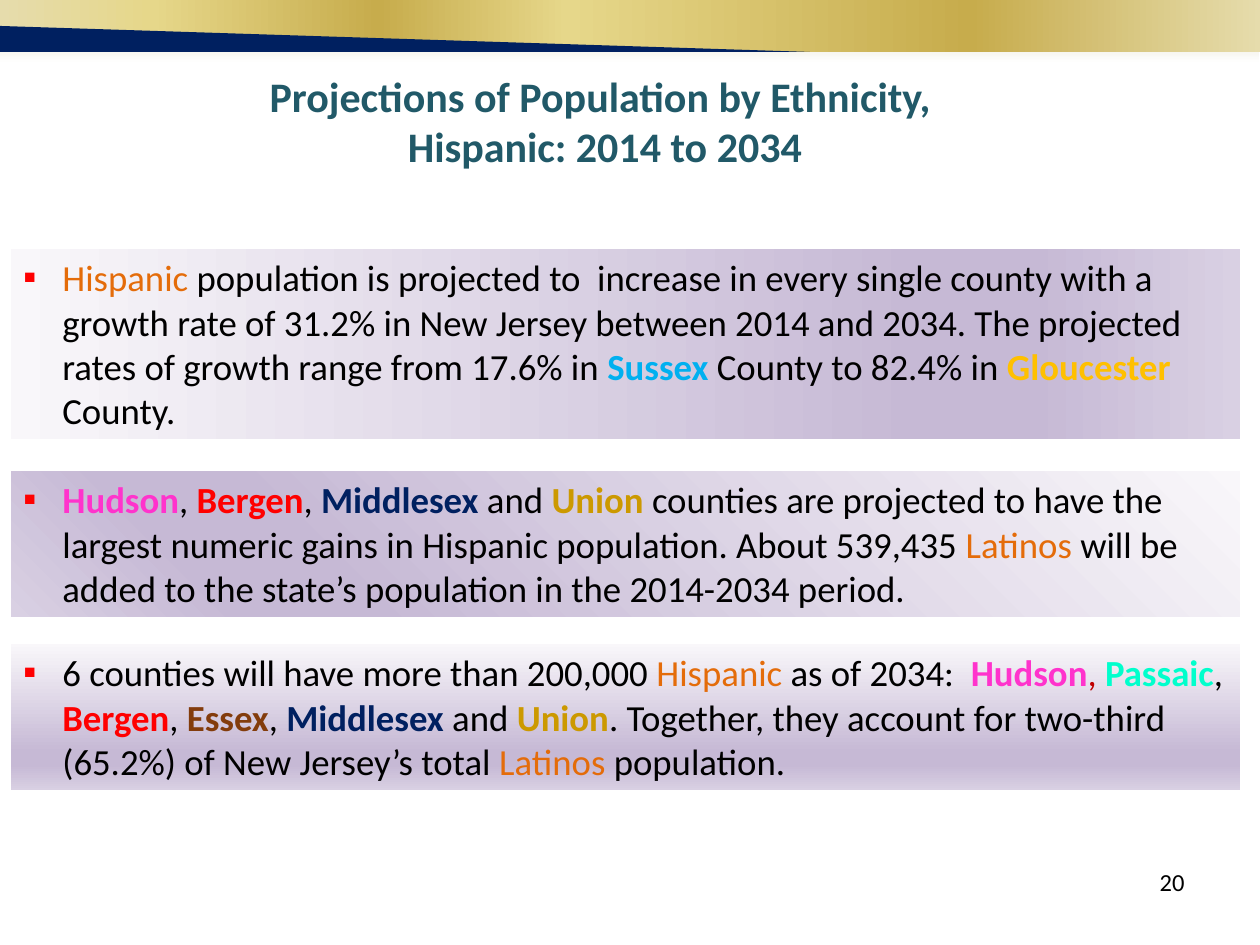
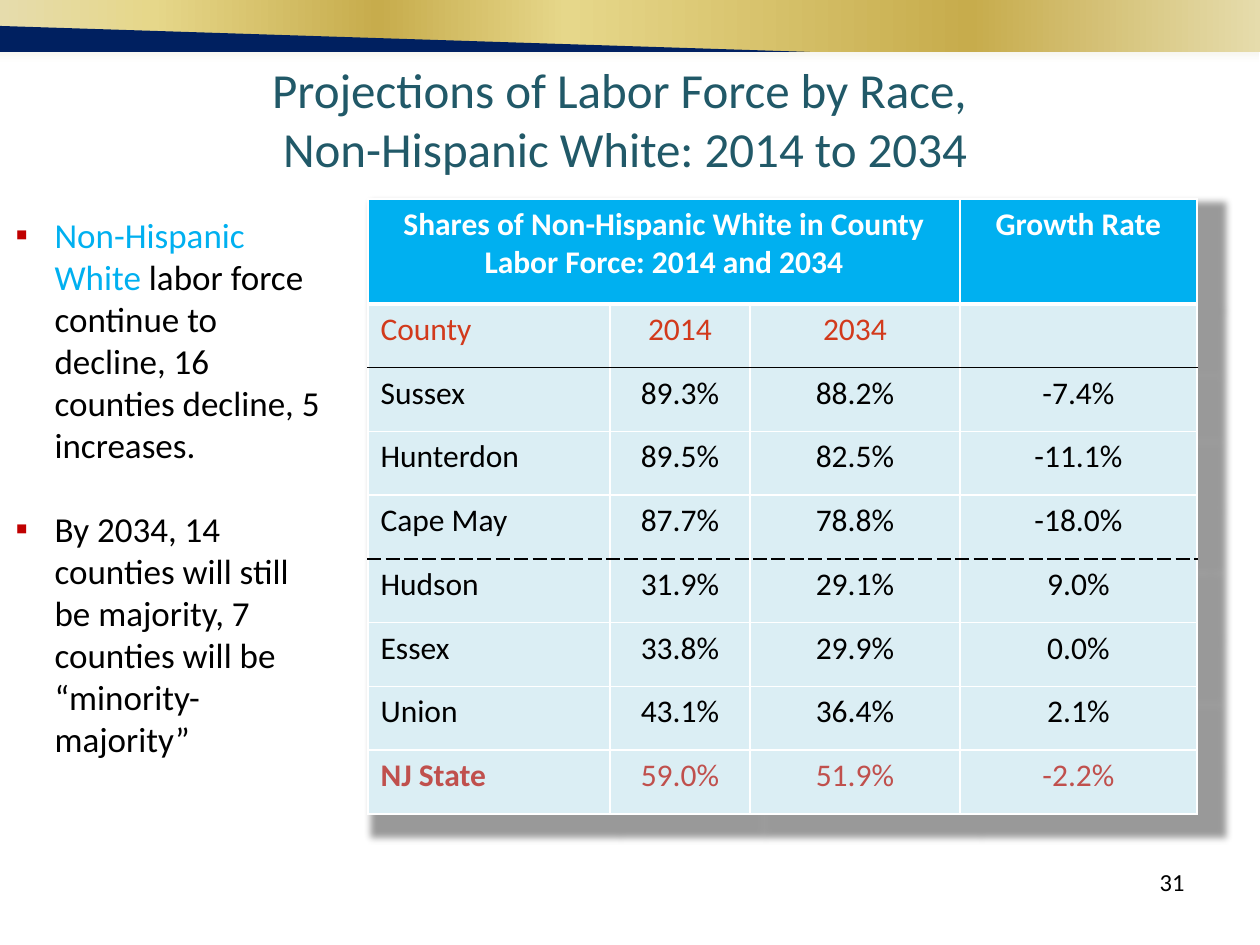
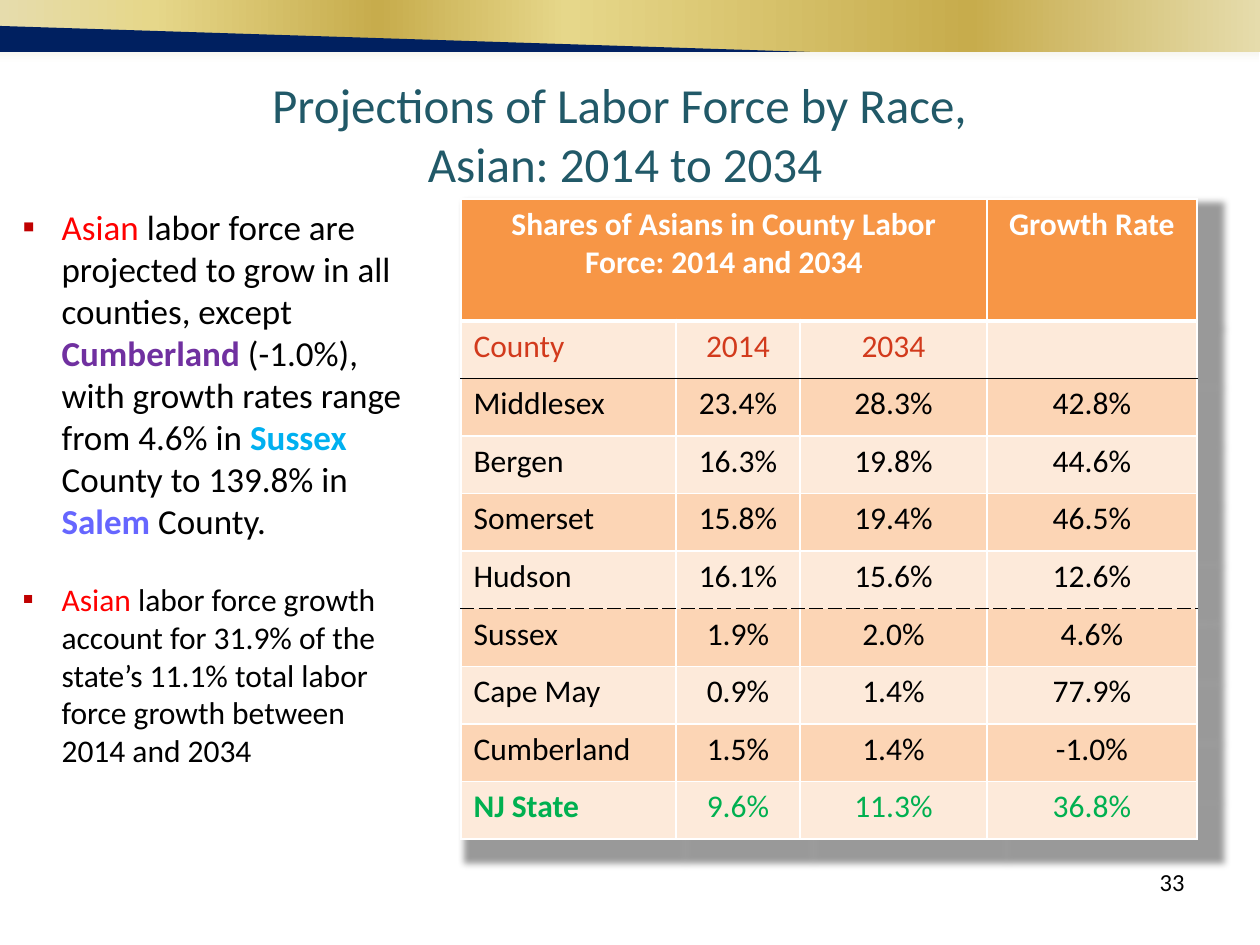
from dataclasses import dataclass
from itertools import accumulate
from typing import Any, NamedTuple

from pptx import Presentation
from pptx.dml.color import RGBColor
from pptx.enum.shapes import MSO_SHAPE as Preset
from pptx.enum.text import MSO_ANCHOR as Anchor, MSO_AUTO_SIZE as AutoSize, PP_ALIGN as Align
from pptx.oxml import parse_xml
from pptx.oxml.ns import nsdecls
from pptx.util import Pt

SCALE = 914400 / 126


@dataclass(frozen=True)
class Theme:
    font: str = "Calibri"
    title: str = "215968"
    text: str = "000000"
    white: str = "FFFFFF"
    navy: str = "002060"
    ethnicity: str = "E46C0A"
    sky: str = "00B0F0"
    red: str = "FF0000"
    dark_red: str = "C00000"
    column_names: str = "D23A1C"
    band: tuple = ((0, "E6DCAC"), (12, "E6D78A"), (30, "C7AC4C"),
                   (45, "E6D78A"), (77, "C7AC4C"), (100, "E6DCAC"))
    glow: tuple = ((0, "EEECE1"), (100, "FFFFFF"))
    lilac: tuple = ((0, "F9F7FA"), (74, "C6B9D5"), (83, "C6B9D5"), (100, "D9D0E3"))
    bold_title_size: int = 24
    title_size: int = 28
    panel_size: int = 21
    list_size: int = 20
    table_size: int = 18
    number_size: int = 14


THEME = Theme()


class Box(NamedTuple):
    left: int
    top: int
    width: int
    height: int


class Span(NamedTuple):
    text: str
    color: str = THEME.text
    bold: bool = False


class Bullet(NamedTuple):
    spans: list
    size: int
    color: str
    space_before: int = 0


class Panel(NamedTuple):
    box: Box
    angle: int
    spans: list


class Edge(NamedTuple):
    color: str = THEME.white
    width: int = 1
    dash: str = "solid"


@dataclass(frozen=True)
class ShareTable:
    box: Box
    header_height: int
    columns: tuple
    heading: str
    header_fill: str
    row_fills: tuple
    state_color: str
    dashed_after: str
    rows: tuple


HISPANIC = Span("Hispanic", THEME.ethnicity)
LATINOS = Span("Latinos", THEME.ethnicity)
HUDSON = Span("Hudson", "FF33CC", True)
BERGEN = Span("Bergen", THEME.red, True)
MIDDLESEX = Span("Middlesex", THEME.navy, True)
UNION = Span("Union", "CC9900", True)
SUSSEX = Span("Sussex", THEME.sky, True)
COMMA = Span(", ")

PANELS = (
    Panel(Box(11, 249, 1229, 190), 0, [
        HISPANIC,
        Span(" population is projected to  increase in every single county with a growth rate of "
             "31.2% in New Jersey between 2014 and 2034. The projected rates of growth range "
             "from 17.6% in "),
        SUSSEX, Span(" County to 82.4% in "), Span("Gloucester ", "FFC000", True),
        Span("County."),
    ]),
    Panel(Box(11, 471, 1229, 146), 135, [
        HUDSON, COMMA, BERGEN, COMMA, MIDDLESEX, Span(" and "), UNION,
        Span(" counties are projected to have the largest numeric gains in Hispanic population. "
             "About 539,435 "),
        LATINOS, Span(" will be added to the state’s population in the 2014-2034 period."),
    ]),
    Panel(Box(11, 644, 1229, 146), 90, [
        Span("6 counties will have more than 200,000 "), HISPANIC, Span(" as of 2034:  "),
        HUDSON, Span(", ", THEME.dark_red), Span("Passaic", "00FFCC", True), COMMA,
        BERGEN, COMMA, Span("Essex", "833C0C", True), COMMA, MIDDLESEX, Span(" and "), UNION,
        Span(". Together, they account for two-third (65.2%) of New Jersey’s total "),
        LATINOS, Span(" population."),
    ]),
)

WHITE_LIST = [
    Bullet([Span("Non-Hispanic White ", THEME.sky),
            Span("labor force continue to decline, 16 counties decline, 5 increases.")],
           THEME.list_size, THEME.dark_red),
    Bullet([Span("By 2034, 14 counties will still be majority, 7 counties will be "
                 "“minority-majority”")],
           THEME.list_size, THEME.dark_red, 24),
]

ASIAN_LIST = [
    Bullet([Span("Asian", THEME.red),
            Span(" labor force are projected to grow in all counties, except "),
            Span("Cumberland", "7030A0", True),
            Span(" (-1.0%), with growth rates range from 4.6% in "), SUSSEX,
            Span(" County to 139.8% in "), Span("Salem", "6666FF", True), Span(" County.")],
           THEME.list_size, THEME.dark_red),
    Bullet([Span("Asian ", THEME.red),
            Span("labor force growth account for 31.9% of the state’s 11.1% total labor force "
                 "growth between 2014 and 2034")],
           THEME.table_size, THEME.dark_red, 22),
]

WHITE_TABLE = ShareTable(
    Box(368, 199, 829, 615), 105, (242, 140, 210, 237),
    "Shares of Non-Hispanic White in County Labor Force: 2014 and 2034",
    THEME.sky, ("DBEEF4", "DBEEF4"), "C0504D", "Cape May",
    (("Sussex", "89.3%", "88.2%", "-7.4%"),
     ("Hunterdon", "89.5%", "82.5%", "-11.1%"),
     ("Cape May", "87.7%", "78.8%", "-18.0%"),
     ("Hudson", "31.9%", "29.1%", "9.0%"),
     ("Essex", "33.8%", "29.9%", "0.0%"),
     ("Union", "43.1%", "36.4%", "2.1%"),
     ("NJ State", "59.0%", "51.9%", "-2.2%")),
)

ASIAN_TABLE = ShareTable(
    Box(461, 199, 736, 640), 122, (215, 124, 187, 210),
    "Shares of Asians in County Labor Force: 2014 and 2034",
    "F79646", ("FDEADA", "FCD5B5"), "00B050", "Hudson",
    (("Middlesex", "23.4%", "28.3%", "42.8%"),
     ("Bergen", "16.3%", "19.8%", "44.6%"),
     ("Somerset", "15.8%", "19.4%", "46.5%"),
     ("Hudson", "16.1%", "15.6%", "12.6%"),
     ("Sussex", "1.9%", "2.0%", "4.6%"),
     ("Cape May", "0.9%", "1.4%", "77.9%"),
     ("Cumberland", "1.5%", "1.4%", "-1.0%"),
     ("NJ State", "9.6%", "11.3%", "36.8%")),
)


def emu(pixels: float) -> int:
    return round(pixels * SCALE)


def place(box: Box) -> list[int]:
    return [emu(length) for length in box]


def assign(target: Any, values: dict) -> None:
    for name, value in values.items():
        setattr(target, name, value)


def move(shape: Any, box: Box) -> None:
    assign(shape, dict(zip(Box._fields, place(box))))


def write(para: Any, spans: list, size: int) -> None:
    for piece in spans:
        span = para.add_run()
        assign(span, {"text": piece.text})
        assign(span.font, {"name": THEME.font, "size": Pt(size), "bold": piece.bold})
        span.font.color.rgb = RGBColor.from_string(piece.color)


def prepare(frame: Any) -> None:
    assign(frame, {"word_wrap": True, "auto_size": AutoSize.NONE,
                   "vertical_anchor": Anchor.TOP})


def write_bullets(frame: Any, bullets: list) -> None:
    prepare(frame)
    for index, bullet in enumerate(bullets):
        para = frame.add_paragraph() if index else frame.paragraphs[0]
        properties = para._p.get_or_add_pPr()
        properties.set("marL", str(emu(39)))
        properties.set("indent", str(-emu(39)))
        for markup in (f'<a:buClr {nsdecls("a")}><a:srgbClr val="{bullet.color}"/></a:buClr>',
                       f'<a:buFont {nsdecls("a")} typeface="{THEME.font}"/>',
                       f'<a:buChar {nsdecls("a")} char="▪"/>'):
            properties.append(parse_xml(markup))
        assign(para, {"alignment": Align.LEFT, "space_before": Pt(bullet.space_before)})
        write(para, bullet.spans, bullet.size)


def add_gradient_box(page: Any, box: Box, stops: tuple, angle: int) -> Any:
    shape = page.shapes.add_shape(Preset.RECTANGLE, *place(box))
    shape.shadow.inherit = False
    shape.line.fill.background()
    marks = "".join(f'<a:gs pos="{position * 1000}"><a:srgbClr val="{color}"/></a:gs>'
                    for position, color in stops)
    shape.element.spPr.insert(2, parse_xml(
        f'<a:gradFill {nsdecls("a")} rotWithShape="1"><a:gsLst>{marks}</a:gsLst>'
        f'<a:lin ang="{angle * 60000}" scaled="0"/></a:gradFill>'))
    return shape


def add_wedge(page: Any) -> Any:
    builder = page.shapes.build_freeform(0, 26, scale=SCALE)
    builder.add_line_segments(((810, 52), (0, 52)), close=True)
    wedge = builder.convert_to_shape()
    wedge.shadow.inherit = False
    wedge.fill.solid()
    wedge.fill.fore_color.rgb = RGBColor.from_string(THEME.navy)
    wedge.line.fill.background()
    return wedge


def decorate_master(deck: Any, page: Any) -> None:
    shapes = (add_gradient_box(page, Box(0, 42, 1259, 21), THEME.glow, 90),
              add_gradient_box(page, Box(0, 0, 1261, 52), THEME.band, 0),
              add_wedge(page))
    for number, shape in enumerate(shapes, start=101):
        shape.element.nvSpPr.cNvPr.set("id", str(number))
        deck.slide_master.shapes.element.append(shape.element)


def add_page(deck: Any, layout: int, lines: tuple, box: Box, size: int, bold: bool,
             number: int) -> Any:
    page = deck.slides.add_slide(deck.slide_layouts[layout])
    title = page.shapes.title
    move(title, box)
    frame = title.text_frame
    prepare(frame)
    for index, line in enumerate(lines):
        para = frame.add_paragraph() if index else frame.paragraphs[0]
        para.alignment = Align.CENTER
        write(para, [Span(line, THEME.title, bold)], size)
    number_box = page.shapes.add_textbox(*place(Box(903, 861, 294, 66)))
    prepare(number_box.text_frame)
    para = number_box.text_frame.paragraphs[0]
    para.alignment = Align.RIGHT
    write(para, [Span(str(number))], THEME.number_size)
    return page


def add_panel(page: Any, panel: Panel) -> None:
    shape = add_gradient_box(page, panel.box, THEME.lilac, panel.angle)
    write_bullets(shape.text_frame, [Bullet(panel.spans, THEME.panel_size, THEME.red)])


def set_edges(cell: Any, above: Edge, below: Edge) -> None:
    properties = cell._tc.get_or_add_tcPr()
    edges = {"lnL": Edge(), "lnR": Edge(), "lnT": above, "lnB": below}
    for index, (tag, edge) in enumerate(edges.items()):
        properties.insert(index, parse_xml(
            f'<a:{tag} {nsdecls("a")} w="{Pt(edge.width)}"><a:solidFill>'
            f'<a:srgbClr val="{edge.color}"/></a:solidFill>'
            f'<a:prstDash val="{edge.dash}"/></a:{tag}>'))


def add_share_table(page: Any, share: ShareTable) -> None:
    rows = ((share.heading, "", "", "Growth Rate"), ("County", "2014", "2034", ""), *share.rows)
    table = page.shapes.add_table(len(rows), len(share.columns), *place(share.box)).table
    assign(table, {"first_row": False, "horz_banding": False})
    table._tbl.tblPr.insert(0, parse_xml(
        f'<a:effectLst {nsdecls("a")}><a:outerShdw blurRad="50800" dist="38100" dir="2700000" '
        'sx="103000" sy="103000" algn="tl" rotWithShape="0">'
        '<a:srgbClr val="000000"><a:alpha val="40000"/></a:srgbClr></a:outerShdw></a:effectLst>'))

    stops = [0, *accumulate(share.columns)]
    for column, left, right in zip(table.columns, stops, stops[1:]):
        column.width = emu(right) - emu(left)
    row_height = (share.box.height - share.header_height) / (len(rows) - 1)
    for index, row in enumerate(table.rows):
        row.height = emu(row_height if index else share.header_height)

    table.cell(0, 0).merge(table.cell(0, 2))
    above = Edge()
    for row_index, values in enumerate(rows):
        name = values[0]
        is_header = row_index == 0
        is_state = name == "NJ State"
        below = {0: Edge(width=3), 1: Edge(THEME.text)}.get(row_index, Edge())
        if name == share.dashed_after:
            below = Edge(THEME.text, dash="sysDash")
        fill = share.header_fill if is_header else share.row_fills[(row_index - 1) % 2]
        color = {0: THEME.white, 1: THEME.column_names}.get(row_index, THEME.text)
        color = share.state_color if is_state else color
        for column_index, value in enumerate(values):
            cell = table.cell(row_index, column_index)
            cell.fill.solid()
            cell.fill.fore_color.rgb = RGBColor.from_string(fill)
            set_edges(cell, above, below)
            if value:
                para = cell.text_frame.paragraphs[0]
                para.alignment = Align.CENTER if is_header or column_index else Align.LEFT
                bold = is_header or (is_state and column_index == 0)
                write(para, [Span(value, color, bold)], THEME.table_size)
        above = below


def add_labor_page(deck: Any, subject: str, title_top: int, number: int, list_box: Box,
                   bullets: list, share: ShareTable) -> None:
    page = add_page(deck, 1, ("Projections of Labor Force by Race, ", f"{subject}: 2014 to 2034"),
                    Box(168, title_top, 914, 131), THEME.title_size, False, number)
    body = page.placeholders[1]
    move(body, list_box)
    write_bullets(body.text_frame, bullets)
    add_share_table(page, share)


def main() -> None:
    deck = Presentation()
    assign(deck, {"slide_width": emu(1260), "slide_height": emu(945)})

    ethnicity_page = add_page(
        deck, 5, ("Projections of Population by Ethnicity, ", "Hispanic: 2014 to 2034"),
        Box(127, 64, 956, 115), THEME.bold_title_size, True, 20)
    decorate_master(deck, ethnicity_page)
    for panel in PANELS:
        add_panel(ethnicity_page, panel)

    add_labor_page(deck, "Non-Hispanic White", 53, 31, Box(3, 207, 331, 602),
                   WHITE_LIST, WHITE_TABLE)
    add_labor_page(deck, "Asian", 68, 33, Box(10, 199, 410, 581), ASIAN_LIST, ASIAN_TABLE)
    deck.save("out.pptx")


if __name__ == "__main__":
    main()
